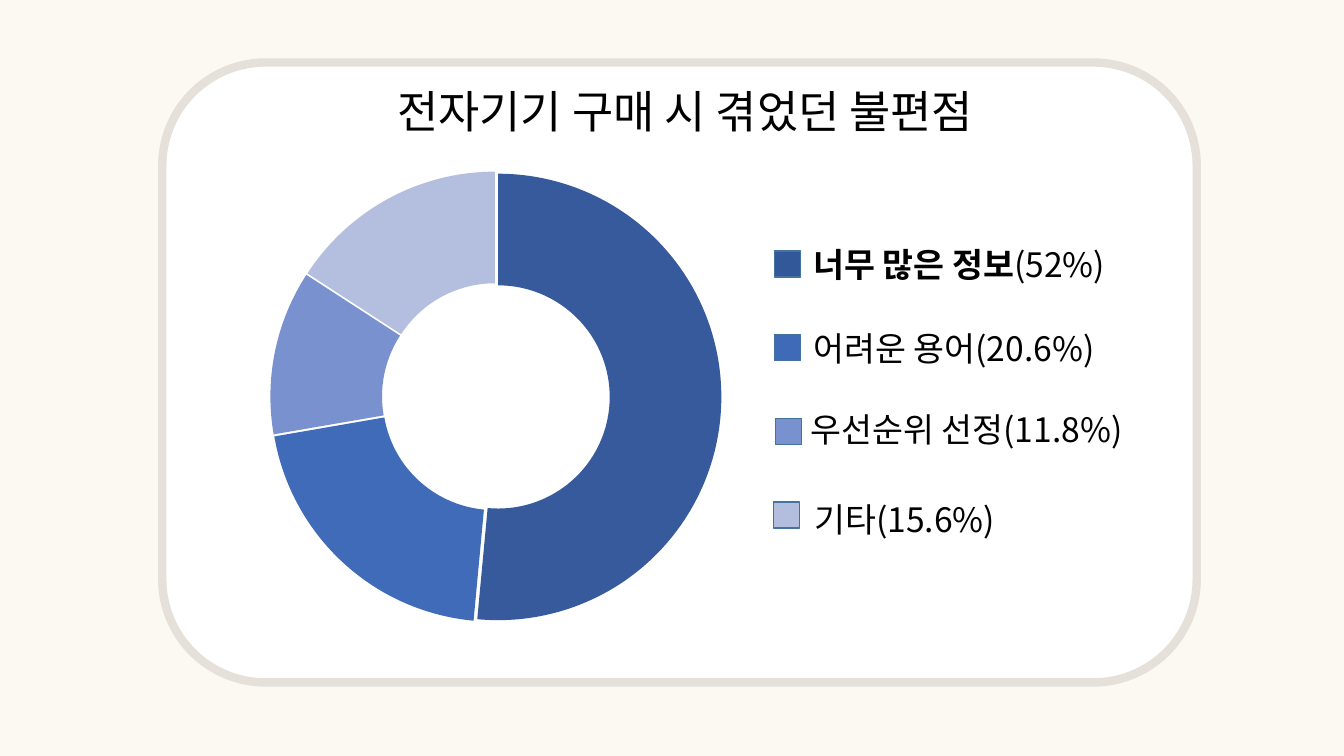
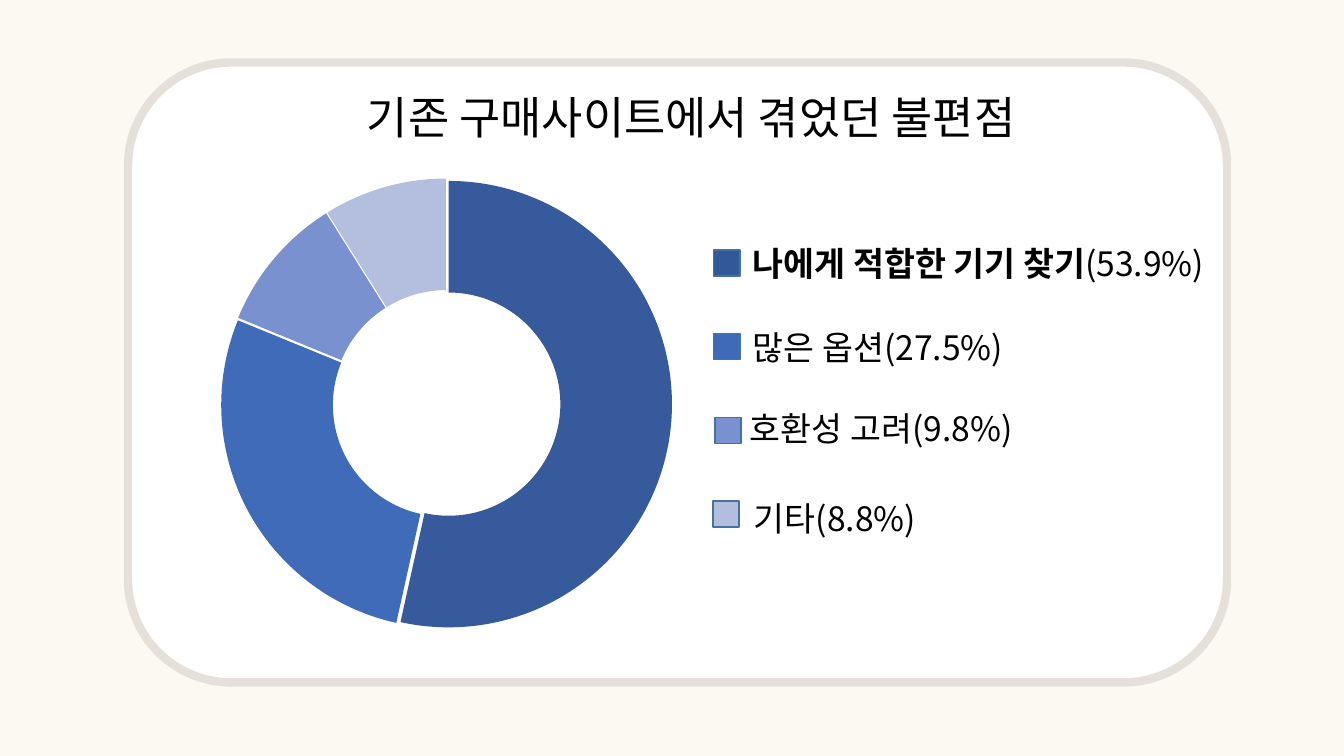
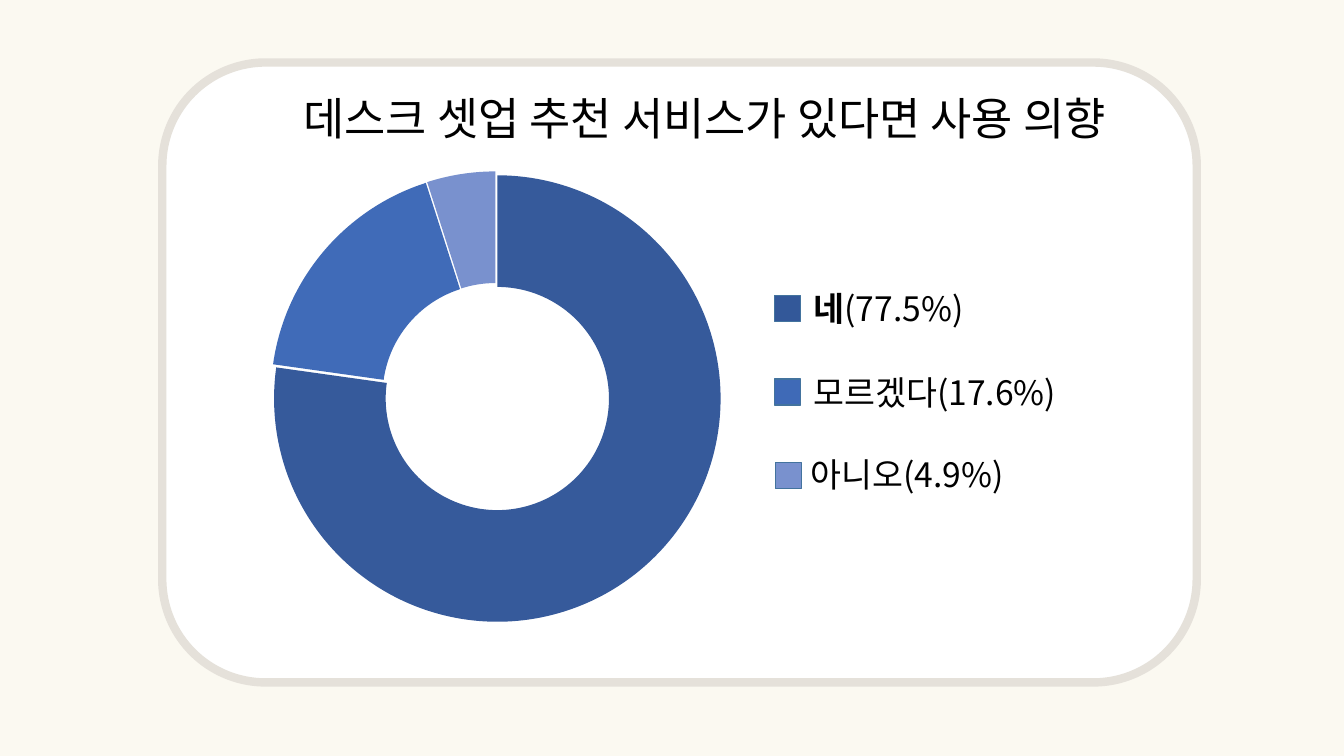
from dataclasses import dataclass

from lxml import etree
from pptx import Presentation
from pptx import util as u
from pptx.chart import data as chart_data
from pptx.dml import color
from pptx.enum import chart as charts, shapes, text
from pptx.oxml import ns


@dataclass(frozen=True)
class Theme:
    font: str = "Noto Sans CJK KR"
    background: str = "FBF9F1"
    panel: str = "FFFFFF"
    panel_line: str = "E5E1DA"
    ink: str = "000000"
    swatch_line: str = "43739E"
    slices: tuple = ("365A9B", "406BB8", "7991CE", "B4BEDF")
    swatches: tuple = ("335899", "3F6AB7", "7991CE", "B3BEDF")
    title_size: int = 32
    label_size: int = 24
    chart_size: int = 10


THEME = Theme()
SWATCH_SIZE = 0.26
SWATCH_STEP = 0.83
SWATCH_SHIFTS = (0, 0, 0.01, -0.01)
LABEL_OFFSETS = ((0.29, -0.12), (0.29, 0.71), (0.26, 1.52), (0.3, 2.41))
PLOT_LAYOUT = {
    "layoutTarget": "inner", "xMode": "edge", "yMode": "edge",
    "x": 0.234, "y": 0.037, "w": 0.581, "h": 0.925,
}

SURVEYS = (
    {
        "panel": (1.61, 10.26),
        "chart": (0.88, 1.52),
        "values": (52, 21, 12, 16),
        "title": ("전자기기 구매 시 겪었던 불편점", 3.84, 0.78, 6.83),
        "legend": (7.68, 2.49, 3.9),
        "answers": (("너무 많은 정보", "(52%)"), ("어려운 용어", "(20.6%)"),
                    ("우선순위 선정", "(11.8%)"), ("기타", "(15.6%)")),
    },
    {
        "panel": (1.27, 10.9),
        "chart": (0.39, 1.59),
        "values": (54, 28, 10, 9),
        "title": ("기존 구매사이트에서 겪었던 불편점", 3.54, 0.84, 6.83),
        "legend": (7.08, 2.48, 5.36),
        "answers": (("나에게 적합한 기기 찾기", "(53.9%)"), ("많은 옵션", "(27.5%)"),
                    ("호환성 고려", "(9.8%)"), ("기타", "(8.8%)")),
    },
    {
        "panel": (1.61, 10.26),
        "chart": (0.88, 1.52),
        "values": (78, 18, 5, None),
        "title": ("데스크 셋업 추천 서비스가 있다면 사용 의향", 2.91, 0.85, 8.25),
        "legend": (7.68, 2.93, 3.9),
        "answers": (("네", "(77.5%)"), ("모르겠다", "(17.6%)"), ("아니오", "(4.9%)")),
    },
)


def rgb(value):
    return color.RGBColor.from_string(value)


def apply_format(target, values):
    for name, value in values.items():
        setattr(target, name, value)


class SurveyDeck:
    def __init__(self, theme):
        self.theme = theme
        self.presentation = Presentation()
        apply_format(self.presentation, {
            "slide_width": u.Inches(13.33), "slide_height": u.Inches(7.5)})
        fill = self.presentation.slide_master.background.fill
        fill.solid()
        fill.fore_color.rgb = rgb(theme.background)
        self.slide = None

    def new_slide(self):
        self.slide = self.presentation.slides.add_slide(
            self.presentation.slide_layouts[6])

    def box(self, kind, position, fill, line, line_width):
        shape = self.slide.shapes.add_shape(kind, *map(u.Inches, position))
        shape.shadow.inherit = False
        shape.fill.solid()
        shape.fill.fore_color.rgb = rgb(fill)
        shape.line.color.rgb = rgb(line)
        shape.line.width = u.Pt(line_width)

    def panel(self, left, width):
        self.box(shapes.MSO_SHAPE.ROUNDED_RECTANGLE, (left, 0.62, width, 6.15),
                 self.theme.panel, self.theme.panel_line, 6)

    def text(self, parts, position, size):
        shape = self.slide.shapes.add_textbox(*map(u.Inches, position))
        apply_format(shape.text_frame, {
            "word_wrap": True, "auto_size": text.MSO_AUTO_SIZE.SHAPE_TO_FIT_TEXT})
        paragraph = shape.text_frame.paragraphs[0]
        for content, bold in parts:
            run = paragraph.add_run()
            run.text = content
            apply_format(run.font, {
                "name": self.theme.font, "size": u.Pt(size), "bold": bold})
            run.font.color.rgb = rgb(self.theme.ink)
            east_asian = etree.SubElement(run.font._element, ns.qn("a:ea"))
            east_asian.set("typeface", self.theme.font)

    def title(self, content, left, top, width):
        self.text([(content, False)], (left, top, width, 0.64), self.theme.title_size)

    def doughnut(self, left, top, values):
        data = chart_data.CategoryChartData()
        data.categories = ["1", "2", "3", "4"]
        data.add_series("Series 1", values)
        chart = self.slide.shapes.add_chart(
            charts.XL_CHART_TYPE.DOUGHNUT,
            *map(u.Inches, (left, top, 7.7, 4.84)), data).chart
        apply_format(chart, {"has_legend": False, "has_title": False})
        apply_format(chart.font, {
            "name": self.theme.font, "size": u.Pt(self.theme.chart_size)})
        chart.font.color.rgb = rgb(self.theme.ink)
        plot = chart.plots[0]
        plot.vary_by_categories = True
        series = plot.series[0]
        for index, slice_color in enumerate(self.theme.slices):
            point = series.points[index].format
            point.fill.solid()
            point.fill.fore_color.rgb = rgb(slice_color)
            point.line.fill.background()
        explosion = etree.Element(ns.qn("c:explosion"), val="2")
        series._element.find(ns.qn("c:dPt")).addprevious(explosion)
        self.place_plot(chart)

    def place_plot(self, chart):
        plot_area = chart._chartSpace.find(".//" + ns.qn("c:plotArea"))
        for layout in plot_area.findall(ns.qn("c:layout")):
            plot_area.remove(layout)
        layout = etree.Element(ns.qn("c:layout"))
        manual = etree.SubElement(layout, ns.qn("c:manualLayout"))
        for name, value in PLOT_LAYOUT.items():
            etree.SubElement(manual, ns.qn("c:" + name), val=str(value))
        plot_area.insert(0, layout)

    def legend(self, left, top, first_width, answers):
        rows = zip(answers, self.theme.swatches, SWATCH_SHIFTS, LABEL_OFFSETS)
        for index, ((answer, share), fill, shift, (dx, dy)) in enumerate(rows):
            self.box(shapes.MSO_SHAPE.RECTANGLE,
                     (left + shift, top + index * SWATCH_STEP, SWATCH_SIZE, SWATCH_SIZE),
                     fill, self.theme.swatch_line, 1)
            first = index == 0
            parts = [(answer, True), (share, False)] if first else [(answer + share, False)]
            width = first_width if first else 3.9
            self.text(parts, (left + dx, top + dy, width, 0.5), self.theme.label_size)

    def survey(self, survey):
        self.new_slide()
        self.panel(*survey["panel"])
        self.doughnut(*survey["chart"], survey["values"])
        self.title(*survey["title"])
        self.legend(*survey["legend"], survey["answers"])


def main():
    deck = SurveyDeck(THEME)
    for survey in SURVEYS:
        deck.survey(survey)
    deck.presentation.save("out.pptx")


if __name__ == "__main__":
    main()
